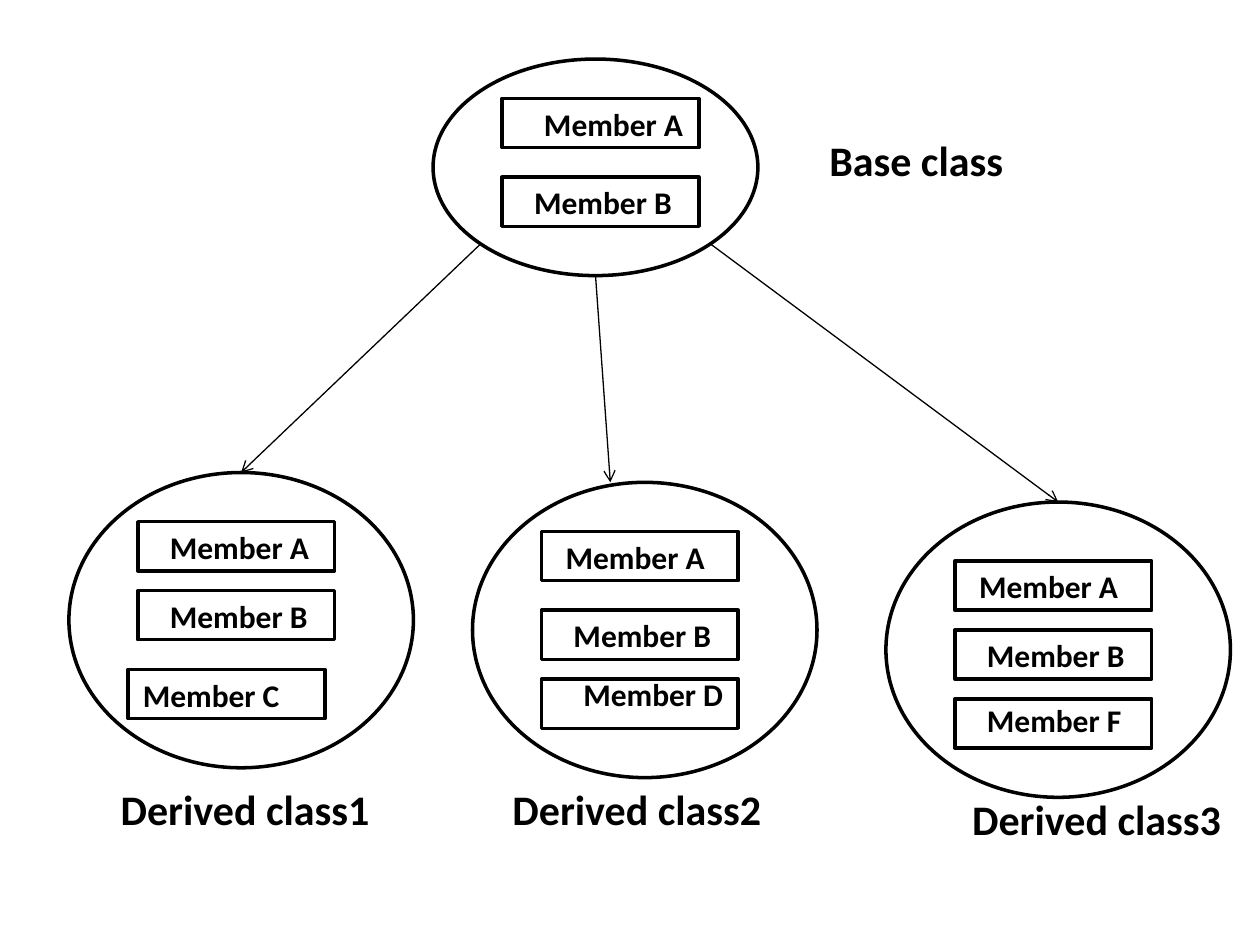
from math import sqrt
from pptx import Presentation
from pptx.dml.color import RGBColor
from pptx.enum.shapes import MSO_CONNECTOR, MSO_SHAPE
from pptx.enum.text import MSO_AUTO_SIZE
from pptx.oxml.ns import qn
from pptx.util import Inches, Pt
from lxml import etree

OVAL, RECT = MSO_SHAPE.OVAL, MSO_SHAPE.RECTANGLE
LINE, GROW = MSO_CONNECTOR.STRAIGHT, MSO_AUTO_SIZE.SHAPE_TO_FIT_TEXT
BLACK = RGBColor(0, 0, 0)
WIDE, HIGH = Inches(10), Inches(7.5)
COLS, ROWS = 128, 96
FONT = {"name": "Calibri", "bold": True}

BASE = {
    "box": (44, 6, 33, 22),
    "parts": [("A", 7, 4, 3, 0), ("B", 7, 12, 2, 0)],
    "label": ("Base class", 39, 7, 20.5),
}
KIDS = [
    {
        "box": (7, 48, 35, 30),
        "parts": [("A", 7, 5, 2, 0), ("B", 7, 12, 2, 0), ("C", 6, 20, 0.25, 0)],
        "label": ("Derived class1", 4, 31, 28.2),
    },
    {
        "box": (48, 49, 35, 30),
        "parts": [("A", 7, 5, 1.2, 0), ("B", 7, 13, 2, 0), ("D", 7, 20, 3, -1.1)],
        "label": ("Derived class2", 2.8, 30, 28.2),
    },
    {
        "box": (90, 51, 35, 30),
        "parts": [("A", 7, 6, 1.2, 0), ("B", 7, 13, 2, 0), ("F", 7, 20, 2, -0.4)],
        "label": ("Derived class3", 7.5, 29, 28.2),
    },
]


def cells(*vals):
    sizes = (WIDE / COLS, HIGH / ROWS)
    return [round(v * sizes[i % 2]) for i, v in enumerate(vals)]


def add_frame(slide, kind, box):
    shape = slide.shapes.add_shape(kind, *cells(*box))
    shape.shadow.inherit = False
    shape.fill.background()
    shape.line.color.rgb = BLACK
    shape.line.width = Pt(2)


def add_text(slide, text, box, size):
    frame = slide.shapes.add_textbox(*cells(*box)).text_frame
    frame.word_wrap = False
    frame.auto_size = GROW
    run = frame.paragraphs[0].add_run()
    run.text = text
    for key, val in {**FONT, "size": Pt(size)}.items():
        setattr(run.font, key, val)
    run.font.color.rgb = BLACK


def add_class(slide, box, parts, label):
    left, top = box[:2]
    add_frame(slide, OVAL, box)
    for name, col, row, dx, dy in parts:
        x, y = left + col, top + row
        add_frame(slide, RECT, (x, y, 20, 5))
        add_text(slide, f"Member {name}", (x + dx, y + dy, 17, 5.1), 18)
    text, col, row, width = label
    add_text(slide, text, (left + col, top + row, width, 6.4), 24)


def add_arrow(slide, start, end):
    arrow = slide.shapes.add_connector(LINE, *cells(*start, *end))
    arrow.line.color.rgb = BLACK
    arrow.line.width = Pt(0.75)
    etree.SubElement(arrow.line._get_or_add_ln(), qn("a:tailEnd"), type="arrow")
    etree.SubElement(arrow._element.spPr, qn("a:effectLst"))


def add_links(slide, base, kids):
    left, top, width, height = base
    mid, half = left + width / 2, top + height / 2
    dx, dy = width / sqrt(8), height / sqrt(8)
    starts = [(mid - dx, half + dy), (mid, top + height), (mid + dx, half + dy)]
    for start, kid, share in zip(starts, kids, (0.5, 0.4, 0.5)):
        x, y, wide = kid[:3]
        add_arrow(slide, start, (x + wide * share, y))


def main():
    deck = Presentation()
    deck.slide_width, deck.slide_height = WIDE, HIGH
    slide = deck.slides.add_slide(deck.slide_layouts[6])
    for group in [BASE, *KIDS]:
        add_class(slide, **group)
    add_links(slide, BASE["box"], [kid["box"] for kid in KIDS])
    deck.save("out.pptx")


if __name__ == "__main__":
    main()
